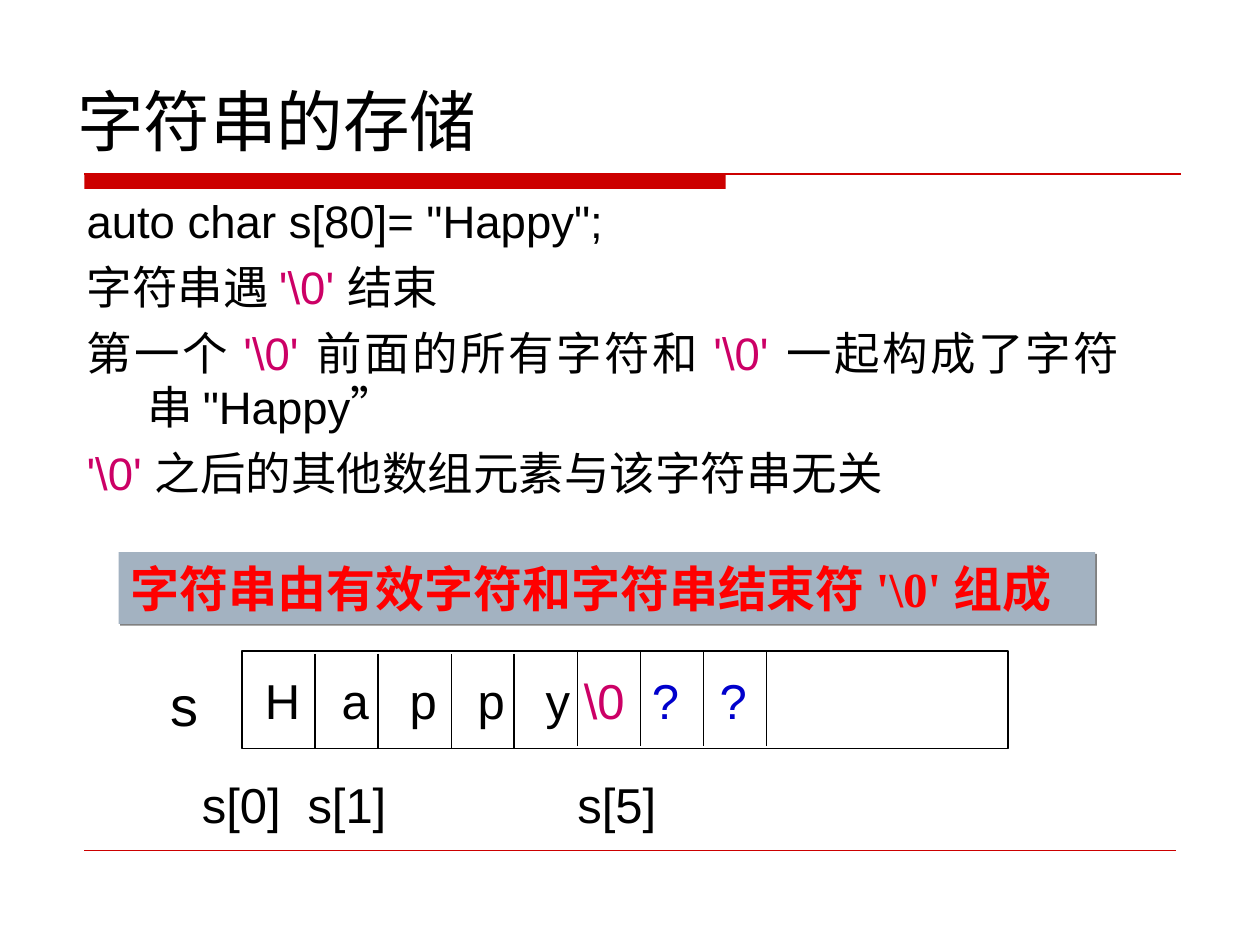
from lxml import etree
from pptx import Presentation
from pptx.dml.color import RGBColor
from pptx.enum.shapes import MSO_CONNECTOR, MSO_SHAPE
from pptx.enum.text import MSO_ANCHOR, MSO_AUTO_SIZE, PP_ALIGN
from pptx.oxml import parse_xml
from pptx.oxml.ns import nsdecls, qn
from pptx.util import Cm, Pt

RECT = MSO_SHAPE.RECTANGLE
LINE = MSO_CONNECTOR.STRAIGHT
LEFT, JUST = PP_ALIGN.LEFT, PP_ALIGN.JUSTIFY
TOP, LOW = MSO_ANCHOR.TOP, MSO_ANCHOR.BOTTOM
FIXED = MSO_AUTO_SIZE.NONE
BLACK, RED, PINK, BLUE = "000000", "CC0000", "CC0066", "0000CC"
HANZI = "Noto Sans CJK SC"
END = ("'\\0' ", PINK)


def tint(code):
    """Turn a hex string into a colour."""
    return RGBColor.from_string(code)


def place(shape, box):
    """Move a shape to left, top, width, height in cm."""
    shape.left, shape.top, shape.width, shape.height = map(Cm, box)


def write(para, parts, size, align=LEFT, face="Arial"):
    """Fill a paragraph with (text, colour) parts in one font."""
    para.alignment = align
    para.font.size = Pt(size)
    para.font.name = face
    for text, color in parts:
        run = para.add_run()
        run.text = text
        run.font.color.rgb = tint(color)


def title(slide, text):
    """Set the slide title."""
    shape = slide.shapes.title
    place(shape, (1.3, 0.71, 11.84, 2.64))
    frame = shape.text_frame
    frame.auto_size = FIXED
    frame.vertical_anchor = LOW
    write(frame.paragraphs[0], [(text, BLACK)], 38)


def body(slide, rows):
    """Fill the body with hanging rows without bullets."""
    shape = slide.placeholders[1]
    place(shape, (0.2, 3.76, 22.63, 7.54))
    frame = shape.text_frame
    frame.auto_size = FIXED
    frame.vertical_anchor = TOP
    for i, parts in enumerate(rows):
        para = frame.add_paragraph() if i else frame.paragraphs[0]
        props = para._p.get_or_add_pPr()
        props.set("marL", str(Cm(2.51)))
        props.set("indent", str(Cm(-1.22)))
        etree.SubElement(props, qn("a:buNone"))
        para.space_before = Pt(6.5 if i else 0)
        write(para, parts, 26, JUST if i else LEFT)


def label(slide, box, parts, size, inset=0.25, tabs=()):
    """Add a text box with optional tab stops in cm."""
    shape = slide.shapes.add_textbox(*map(Cm, box))
    frame = shape.text_frame
    frame.word_wrap = True
    frame.margin_left = Cm(inset)
    para = frame.paragraphs[0]
    if tabs:
        stops = etree.SubElement(para._p.get_or_add_pPr(), qn("a:tabLst"))
        for pos in tabs:
            etree.SubElement(stops, qn("a:tab"), pos=str(Cm(pos)), algn="l")
    write(para, parts, size)


def rule(slide, start, end, color=BLACK, width=1):
    """Draw a plain straight line."""
    line = slide.shapes.add_connector(LINE, *map(Cm, start + end))
    line.line.color.rgb = tint(color)
    line.line.width = Pt(width)
    etree.SubElement(line._element.spPr, qn("a:effectLst"))


def block(slide, box, fill=None, edge=None):
    """Add a rectangle with a fill, an edge or both."""
    shape = slide.shapes.add_shape(RECT, *map(Cm, box))
    shape.shadow.inherit = False
    if fill:
        shape.fill.solid()
        shape.fill.fore_color.rgb = tint(fill)
    else:
        shape.fill.background()
    if edge:
        shape.line.color.rgb = tint(edge)
        shape.line.width = Pt(1)
    else:
        shape.line.fill.background()
    return shape


def banner(slide):
    """Add the shaded summary bar."""
    shape = block(slide, (2.39, 11.13, 19.69, 1.45), "A3B2C1")
    shape._element.spPr.find(qn("a:effectLst")).append(parse_xml(
        f'<a:outerShdw {nsdecls("a")} dist="{Pt(1.4)}" dir="2700000">'
        '<a:srgbClr val="808080"/></a:outerShdw>'))
    frame = shape.text_frame
    frame.word_wrap = True
    frame.vertical_anchor = TOP
    para = frame.paragraphs[0]
    para.font.bold = True
    texts = "字符串由有效字符和字符串结束符 ", "'\\0' ", "组成"
    write(para, [(text, "FF0000") for text in texts], 28, face=HANZI)
    para.runs[1].font.name = "Times New Roman"


def cells(slide):
    """Draw the character array with its contents and indexes."""
    block(slide, (4.88, 13.13, 15.44, 1.96), edge=BLACK)
    for i, x in enumerate([6.35, 7.62] + [9.1 + 1.27 * k for k in range(6)]):
        top = 13.18 if i < 4 else 13.13
        rule(slide, (x, top), (x, top + 1.91))
    label(slide, (3.18, 13.39, 1.47, 1.6), [("s", BLACK)], 32)
    step = 1.37
    tabs = [1.55 + step * k for k in range(4)]
    tabs += [6.43 + step * k for k in range(3)]
    marks = [("H\ta\tp\tp\ty\t", BLACK), ("\\0\t", PINK), ("?\t?", BLUE)]
    label(slide, (4.88, 13.39, 12.5, 1.42), marks, 28, 0.46, tabs)
    label(slide, (3.61, 15.49, 9.96, 1.42), [("s[0]\ts[1]\ts[5]", BLACK)],
          28, 0.46, (2.13, 7.57))


def main():
    """Build the slide on string storage."""
    deck = Presentation()
    deck.slide_width, deck.slide_height = Cm(25.4), Cm(19.05)
    slide = deck.slides.add_slide(deck.slide_layouts[1])
    block(slide, (1.7, 3.51, 12.93, 0.3), RED)
    rule(slide, (1.7, 3.51), (23.8, 3.51), RED, 0.75)
    rule(slide, (1.7, 17.15), (23.7, 17.15), RED, 0.25)
    title(slide, "字符串的存储")
    body(slide, [
        [('auto char s[80]= "Happy";', BLACK)],
        [("字符串遇 ", BLACK), END, ("结束", BLACK)],
        [("第一个 ", BLACK), END, ("前面的所有字符和 ", BLACK), END,
         ('一起构成了字符串 "Happy”', BLACK)],
        [END, ("之后的其他数组元素与该字符串无关", BLACK)],
    ])
    cells(slide)
    banner(slide)
    deck.save("out.pptx")


if __name__ == "__main__":
    main()
